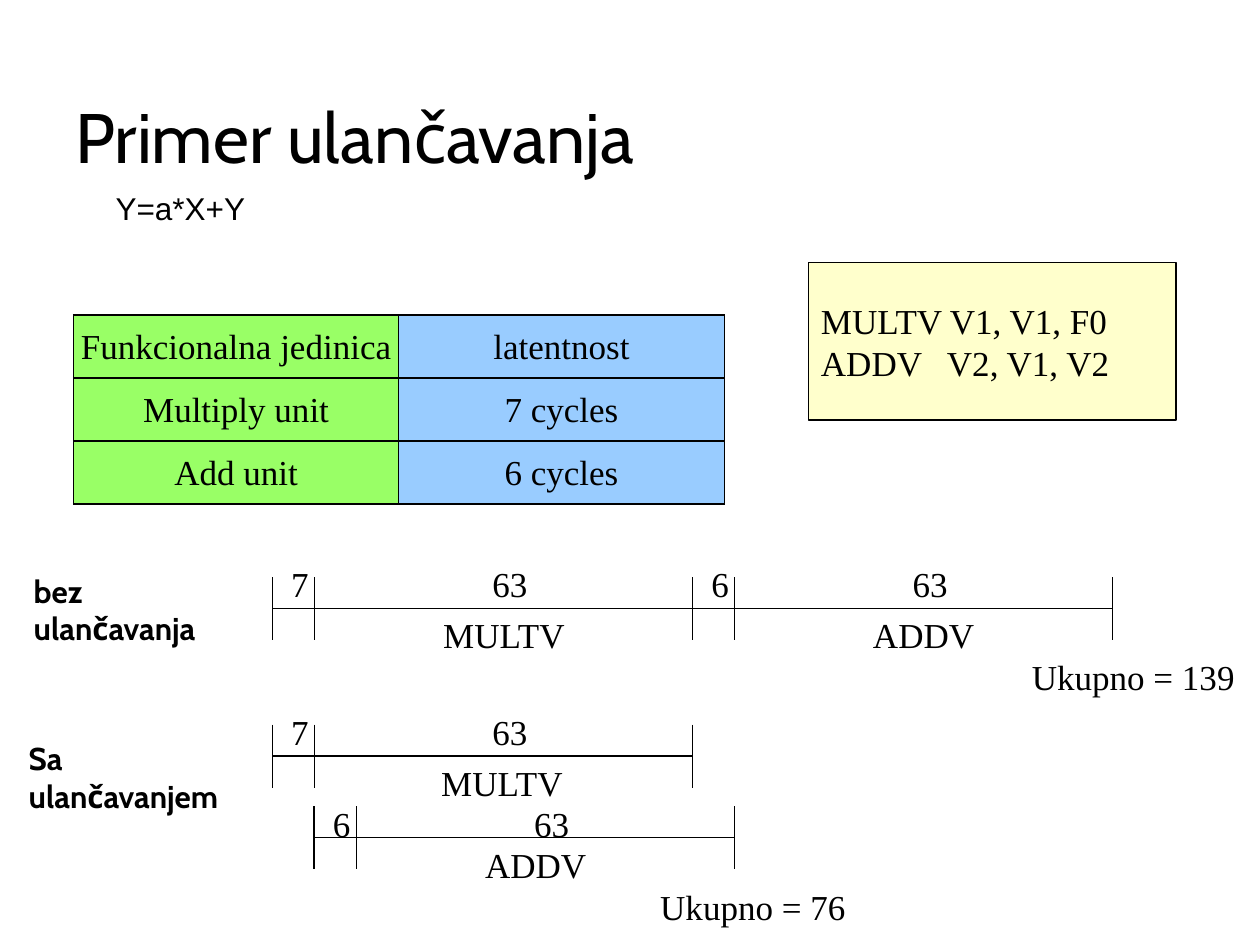
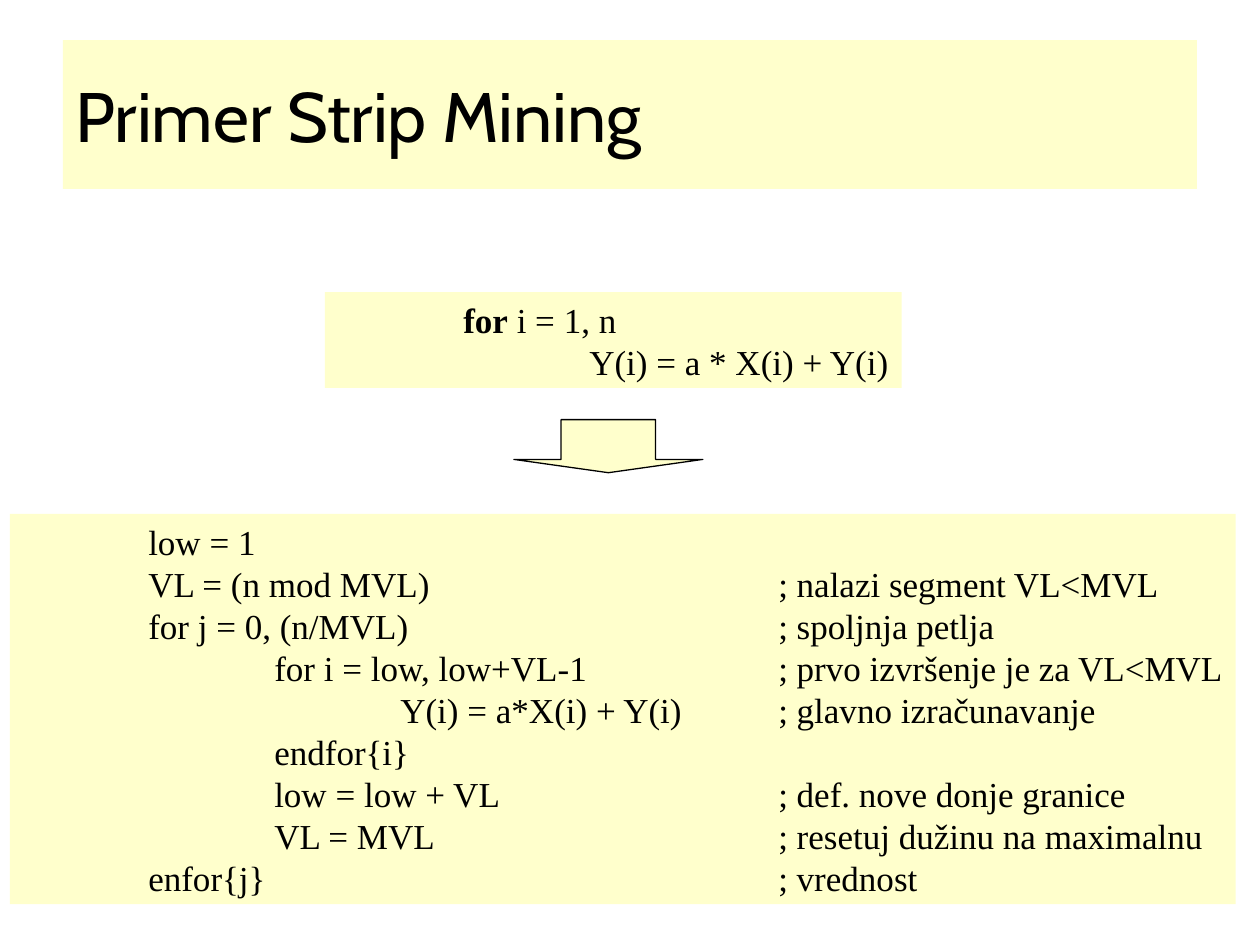
from lxml.etree import SubElement as Sub
from pptx import Presentation
from pptx.dml.color import RGBColor as Rgb
from pptx.enum.shapes import MSO_CONNECTOR as Link, MSO_SHAPE as Kind
from pptx.enum.text import MSO_ANCHOR as Anchor, PP_ALIGN as Align
from pptx.oxml.ns import qn
from pptx.util import Cm, Pt

BLACK, CREAM, GREEN, BLUE = "000000", "FFFFCC", "99FF66", "99CCFF"
SERIF, CABIN, ARIAL = "Times New Roman", "Cabin", "Arial"
INCH, THIN = 2.54, 0.75
START, BODY, TICK = 0.85, 7.62, 0.635

UNITS = [("Funkcionalna jedinica", "latentnost"),
         ("Multiply unit", "7 cycles"),
         ("Add unit", "6 cycles")]
CODE = [(1, "low = 1", ""),
        (1, "VL = (n mod MVL)", "; nalazi segment VL<MVL"),
        (1, "for j = 0, (n/MVL)", "; spoljnja petlja"),
        (2, "for i = low, low+VL-1", "; prvo izvršenje je za VL<MVL"),
        (3, "Y(i) = a*X(i) + Y(i)", "; glavno izračunavanje"),
        (2, "endfor{i}", ""),
        (2, "low = low + VL", "; def. nove donje granice"),
        (2, "VL = MVL", "; resetuj dužinu na maximalnu"),
        (1, "enfor{j}", "; vrednost")]


def color(code):
    """Turn a hex string into a colour."""
    return Rgb.from_string(code)


def style(frame, size=20, font=SERIF, bold=False, align=Align.LEFT):
    """Format every paragraph and run of a text frame."""
    for para in frame.paragraphs:
        para.alignment = align
        para.line_spacing = Pt(size * 1.2)
        for run in para.runs:
            run.font.size, run.font.name, run.font.bold = Pt(size), font, bold
            run.font.color.rgb = color(BLACK)


def shape(slide, box, fill=None, edge=False, kind=Kind.RECTANGLE):
    """Add a plain preset shape with an optional fill and outline."""
    item = slide.shapes.add_shape(kind, *map(Cm, box))
    item.shadow.inherit = False
    if fill:
        item.fill.solid()
        item.fill.fore_color.rgb = color(fill)
    else:
        item.fill.background()
    if edge:
        item.line.color.rgb = color(BLACK)
        item.line.width = Pt(THIN)
    else:
        item.line.fill.background()
    return item


def write(item, text, anchor=Anchor.TOP, **look):
    """Put styled text into a shape or text box."""
    frame = item.text_frame
    frame.text = text
    frame.word_wrap = True
    frame.margin_right = 0
    frame.vertical_anchor = anchor
    style(frame, **look)
    return frame


def label(slide, box, text, **look):
    """Add a text box."""
    return write(slide.shapes.add_textbox(*map(Cm, box)), text, **look)


def title(slide, text, high, fill=None):
    """Add the slide title, with or without a band."""
    write(shape(slide, (1.27, 0.81, 22.86, high), fill), text,
          Anchor.MIDDLE, size=40, font=CABIN)


def rule(slide, x1, y1, x2, y2):
    """Draw a thin black line."""
    line = slide.shapes.add_connector(Link.STRAIGHT, *map(Cm, (x1, y1, x2, y2)))
    line.line.color.rgb = color(BLACK)
    line.line.width = Pt(THIN)
    Sub(line._element.spPr, qn("a:effectLst"))


def stops(para, places):
    """Set tab stops, given in inches, on a paragraph."""
    tabs = Sub(para._p.get_or_add_pPr(), qn("a:tabLst"))
    for place in places:
        Sub(tabs, qn("a:tab"), pos=str(Cm(place * INCH)), algn="l")


def border(cell):
    """Draw a thin black line around a cell."""
    props = cell._tc.get_or_add_tcPr()
    for side in ("a:lnL", "a:lnR", "a:lnT", "a:lnB"):
        line = Sub(props, qn(side), w=str(Pt(THIN)))
        Sub(Sub(line, qn("a:solidFill")), qn("a:srgbClr"), val=BLACK)


def grid(slide, box, rows):
    """Add the table of units and latencies."""
    table = slide.shapes.add_table(len(rows), 2, *map(Cm, box)).table
    for r, row in enumerate(rows):
        for c, (text, fill) in enumerate(zip(row, (GREEN, BLUE))):
            cell = table.cell(r, c)
            border(cell)
            cell.fill.solid()
            cell.fill.fore_color.rgb = color(fill)
            cell.margin_left = cell.margin_right = 0
            cell.vertical_anchor = Anchor.MIDDLE
            cell.text_frame.text = text
            style(cell.text_frame, align=Align.CENTER)


def span(slide, left, y, parts, rise=1.05):
    """Draw a time line of (cycles, name, name centre) parts."""
    x = left
    for cycles, name, mid in parts:
        wide = BODY if name else START
        rule(slide, x, y - TICK, x, y + TICK)
        spot = (x - 0.12, y - rise, wide + 0.5, 1.12)
        label(slide, spot, cycles, align=Align.CENTER).margin_left = 0.25 and Cm(0)
        if name:
            spot = (mid - 1.5, y - 0.02, 3, 1.12)
            label(slide, spot, name, align=Align.CENTER).margin_left = 0
        x += wide
    rule(slide, x, y - TICK, x, y + TICK)
    rule(slide, left, y, x, y)


def chain(slide):
    """Build the slide on chaining."""
    title(slide, "Primer ulančavanja", 3.84)
    label(slide, (2.08, 3.68, 3.5, 1.02), "Y=a*X+Y", size=18, font=ARIAL)
    grid(slide, (1.48, 6.35, 13.12, 3.81), UNITS)
    frame = write(shape(slide, (16.3, 5.29, 7.41, 3.18), CREAM, True),
                  "MULTV V1, V1, F0\nADDV\tV2, V1, V2", Anchor.MIDDLE)
    stops(frame.paragraphs[1], [1])
    for x, y, text in ((0.43, 11.4, "bez\nulančavanja"),
                       (0.33, 14.78, "Sa\nulančavanjem")):
        label(slide, (x, y, 5, 1.78), text, size=18, font=CABIN, bold=True)
    span(slide, 5.49, 12.27, [("7", "", 0), ("63", "MULTV", 10.16),
                              ("6", "", 0), ("63", "ADDV", 18.62)])
    span(slide, 5.49, 15.24, [("7", "", 0), ("63", "MULTV", 10.12)])
    span(slide, 6.33, 16.89, [("6", "", 0), ("63", "ADDV", 10.8)], 0.84)
    for x, y, text in ((20.55, 13.08, "Ukupno = 139"),
                       (13.06, 17.73, "Ukupno = 76")):
        label(slide, (x, y, 4.6, 1.12), text)


def strip(slide):
    """Build the slide on strip mining."""
    title(slide, "Primer Strip Mining", 3, CREAM)
    loop = write(shape(slide, (6.55, 5.89, 11.63, 1.93), CREAM),
                 "\t\n\t\tY(i) = a * X(i) + Y(i)")
    head = loop.paragraphs[0]
    for word in ("for", " i = 1, n"):
        head.add_run().text = word
    style(loop)
    head.runs[1].font.bold = True
    for para in loop.paragraphs:
        stops(para, [1, 2])
    arrow = shape(slide, (10.36, 8.46, 3.81, 1.07), CREAM, True, Kind.DOWN_ARROW)
    arrow.adjustments[0], arrow.adjustments[1] = 0.5, 0.25
    lines = ["\t" * level + code + ("\t" + note if note else "")
             for level, code, note in CODE]
    frame = write(shape(slide, (0.2, 10.36, 24.71, 7.87), CREAM), "\n".join(lines))
    for para, (level, _, _) in zip(frame.paragraphs, CODE):
        stops(para, [*range(1, level + 1), 6])


def main():
    """Build and save the deck."""
    deck = Presentation()
    deck.slide_width, deck.slide_height = Cm(25.4), Cm(19.05)
    for build in (chain, strip):
        build(deck.slides.add_slide(deck.slide_layouts[6]))
    deck.save("out.pptx")


if __name__ == "__main__":
    main()
